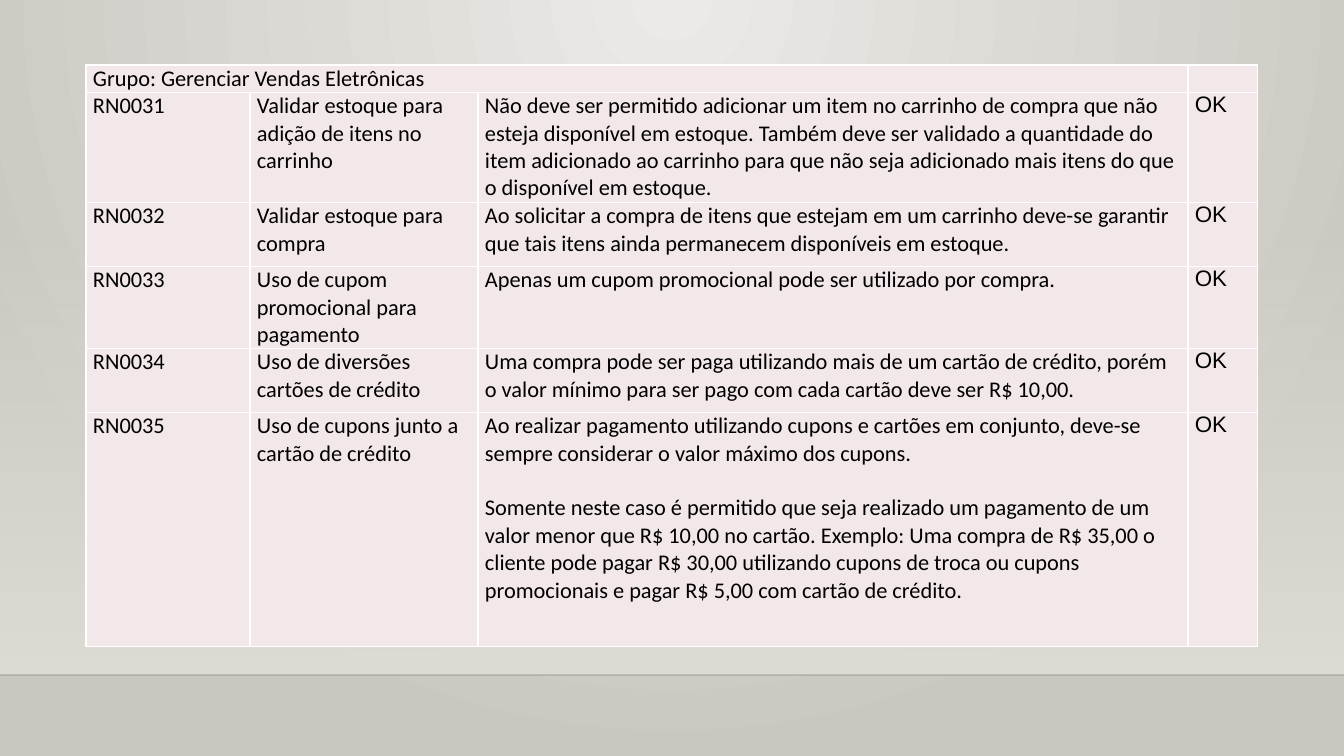
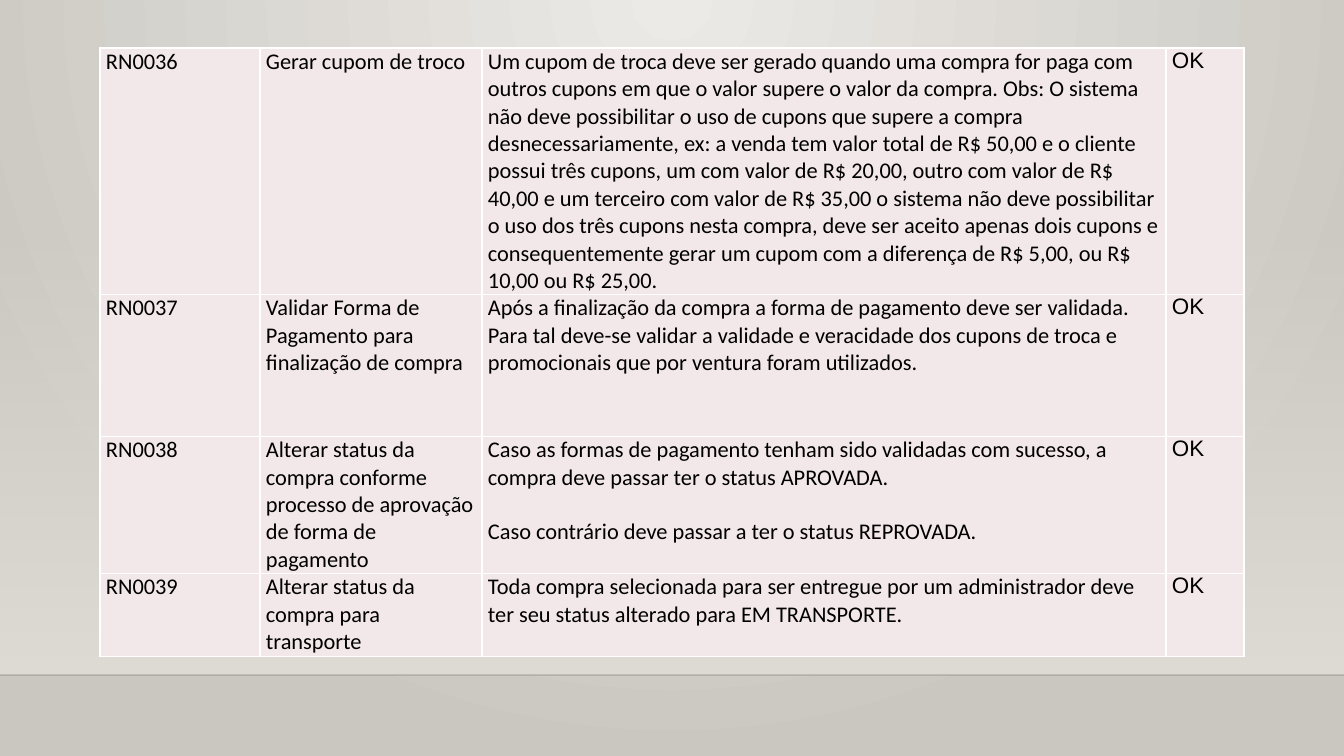
"""Two slides of business rules for electronic sales, set as tables."""
from lxml import etree
from pptx import Presentation
from pptx.dml.color import RGBColor
from pptx.enum.shapes import MSO_CONNECTOR, MSO_SHAPE
from pptx.oxml.ns import qn
from pptx.util import Pt

PX = 914400 / 100.8
WIDE, HIGH, FLOOR = 1344, 756, 675
LIGHT = RGBColor(0xEC, 0xEA, 0xE7)
STONE = RGBColor(0xCA, 0xC7, 0xC1)
SAND = RGBColor(0xDF, 0xDB, 0xD5)
ROSE = RGBColor(0xF3, 0xE8, 0xE9)
WHITE = RGBColor(0xFF, 0xFF, 0xFF)
BLACK = RGBColor(0, 0, 0)
RECT = MSO_SHAPE.RECTANGLE
STRAIGHT = MSO_CONNECTOR.STRAIGHT
SIZE, GAP = Pt(16), Pt(19.5)


def px(num):
    return round(num * PX)


def blend(fill, first, last):
    fill.gradient()
    for stop, tone in zip(fill.gradient_stops, (first, last)):
        stop.color.rgb = tone


TABLES = [
    {
        "left": 86, "top": 65, "pad": 7,
        "cols": [164, 228, 710, 70],
        "rows": [27, 110, 64, 82, 64, 234],
        "cells": [
            ("Grupo: Gerenciar Vendas Eletrônicas", "", "", ""),
            ("RN0031", "Validar estoque para adição de itens no carrinho",
             "Não deve ser permitido adicionar um item no carrinho de compra que não "
             "esteja disponível em estoque. Também deve ser validado a quantidade do "
             "item adicionado ao carrinho para que não seja adicionado mais itens do "
             "que o disponível em estoque.", "OK"),
            ("RN0032", "Validar estoque para compra",
             "Ao solicitar a compra de itens que estejam em um carrinho deve-se garantir "
             "que tais itens ainda permanecem disponíveis em estoque.", "OK"),
            ("RN0033", "Uso de cupom promocional para pagamento",
             "Apenas um cupom promocional pode ser utilizado por compra.", "OK"),
            ("RN0034", "Uso de diversões cartões de crédito",
             "Uma compra pode ser paga utilizando mais de um cartão de crédito, porém "
             "o valor mínimo para ser pago com cada cartão deve ser R$ 10,00.", "OK"),
            ("RN0035", "Uso de cupons junto a cartão de crédito",
             "Ao realizar pagamento utilizando cupons e cartões em conjunto, deve-se "
             "sempre considerar o valor máximo dos cupons.\n"
             "Somente neste caso é permitido que seja realizado um pagamento de um "
             "valor menor que R$ 10,00 no cartão. Exemplo: Uma compra de R$ 35,00 o "
             "cliente pode pagar R$ 30,00 utilizando cupons de troca ou cupons "
             "promocionais e pagar R$ 5,00 com cartão de crédito.", "OK"),
        ],
    },
    {
        "left": 100, "top": 48, "pad": 6,
        "cols": [160, 222, 684, 78],
        "rows": [246, 142, 137, 83],
        "cells": [
            ("RN0036", "Gerar cupom de troco",
             "Um cupom de troca deve ser gerado quando uma compra for paga com "
             "outros cupons em que o valor supere o valor da compra. Obs: O sistema "
             "não deve possibilitar o uso de cupons que supere a compra "
             "desnecessariamente, ex: a venda tem valor total de R$ 50,00 e o cliente "
             "possui três cupons, um com valor de R$ 20,00, outro com valor de R$ "
             "40,00 e um terceiro com valor de R$ 35,00 o sistema não deve possibilitar "
             "o uso dos três cupons nesta compra, deve ser aceito apenas dois cupons e "
             "consequentemente gerar um cupom com a diferença de R$ 5,00, ou R$ "
             "10,00 ou R$ 25,00.", "OK"),
            ("RN0037", "Validar Forma de Pagamento para finalização de compra",
             "Após a finalização da compra a forma de pagamento deve ser validada. "
             "Para tal deve-se validar a validade e veracidade dos cupons de troca e "
             "promocionais que por ventura foram utilizados.", "OK"),
            ("RN0038", "Alterar status da compra conforme processo de aprovação "
             "de forma de pagamento",
             "Caso as formas de pagamento tenham sido validadas com sucesso, a "
             "compra deve passar ter o status APROVADA.\n"
             "Caso contrário deve passar a ter o status REPROVADA.", "OK"),
            ("RN0039", "Alterar status da compra para transporte",
             "Toda compra selecionada para ser entregue por um administrador deve "
             "ter seu status alterado para EM TRANSPORTE.", "OK"),
        ],
    },
]

prs = Presentation()
prs.slide_width, prs.slide_height = px(WIDE), px(HIGH)
blank = prs.slide_layouts[6]
master = prs.slide_master
slides = [prs.slides.add_slide(blank) for _ in TABLES]

blend(master.background.fill, LIGHT, STONE)
lin = master.element.find(".//" + qn("a:lin"))
grad = lin.getparent()
grad.remove(lin)
glow = etree.SubElement(grad, qn("a:path"), {"path": "circle"})
etree.SubElement(glow, qn("a:fillToRect"), l="43000", t="0", r="43000", b="100000")

shapes = slides[0].shapes
wall = shapes.add_shape(RECT, 0, px(223), px(WIDE), px(FLOOR - 223))
wall.shadow.inherit = False
blend(wall.fill, SAND, SAND)
wall.fill.gradient_angle = 270
wall.line.fill.background()
tone = wall._element.find(".//" + qn("a:srgbClr"))
etree.SubElement(tone, qn("a:alpha"), val="0")

edge = shapes.add_connector(STRAIGHT, 0, px(FLOOR), px(WIDE), px(FLOOR))
edge.line.color.rgb = BLACK
edge.line.width = Pt(1)
tone = edge._element.find(".//" + qn("a:srgbClr"))
etree.SubElement(tone, qn("a:alpha"), val="20000")
etree.SubElement(edge._element.spPr, qn("a:effectLst"))

tree = master.shapes._spTree
for spot, part in enumerate((wall, edge), 2):
    tree.insert(spot, part._element)

for slide, data in zip(slides, TABLES):
    cols, rows = data["cols"], data["rows"]
    frame = slide.shapes.add_table(
        len(rows), len(cols), px(data["left"]), px(data["top"]),
        px(sum(cols)), px(sum(rows)))
    table = frame.table
    table.first_row = table.horz_banding = False
    for col, width in zip(table.columns, cols):
        col.width = px(width)
    for row, height, texts in zip(table.rows, rows, data["cells"]):
        row.height = px(height)
        for cell, text in zip(row.cells, texts):
            cell.margin_left = cell.margin_right = px(data["pad"])
            cell.margin_top = cell.margin_bottom = 0
            cell.fill.solid()
            cell.fill.fore_color.rgb = ROSE
            props = cell._tc.get_or_add_tcPr()
            for spot, side in enumerate(("lnL", "lnR", "lnT", "lnB")):
                line = etree.Element(qn("a:" + side), w=str(Pt(1)))
                paint = etree.SubElement(line, qn("a:solidFill"))
                etree.SubElement(paint, qn("a:srgbClr"), val=str(WHITE))
                props.insert(spot, line)
            cell.text_frame.text = text
            for count, para in enumerate(cell.text_frame.paragraphs):
                if count:
                    para.space_before = GAP
                if not text:
                    etree.SubElement(para._p, qn("a:endParaRPr"), sz="1600")
                for run in para.runs:
                    run.font.size = SIZE
                    run.font.name = "Arial" if text == "OK" else "Calibri"
                    run.font.color.rgb = BLACK
        if not texts[1]:
            row.cells[0].merge(row.cells[2])

prs.save("out.pptx")
